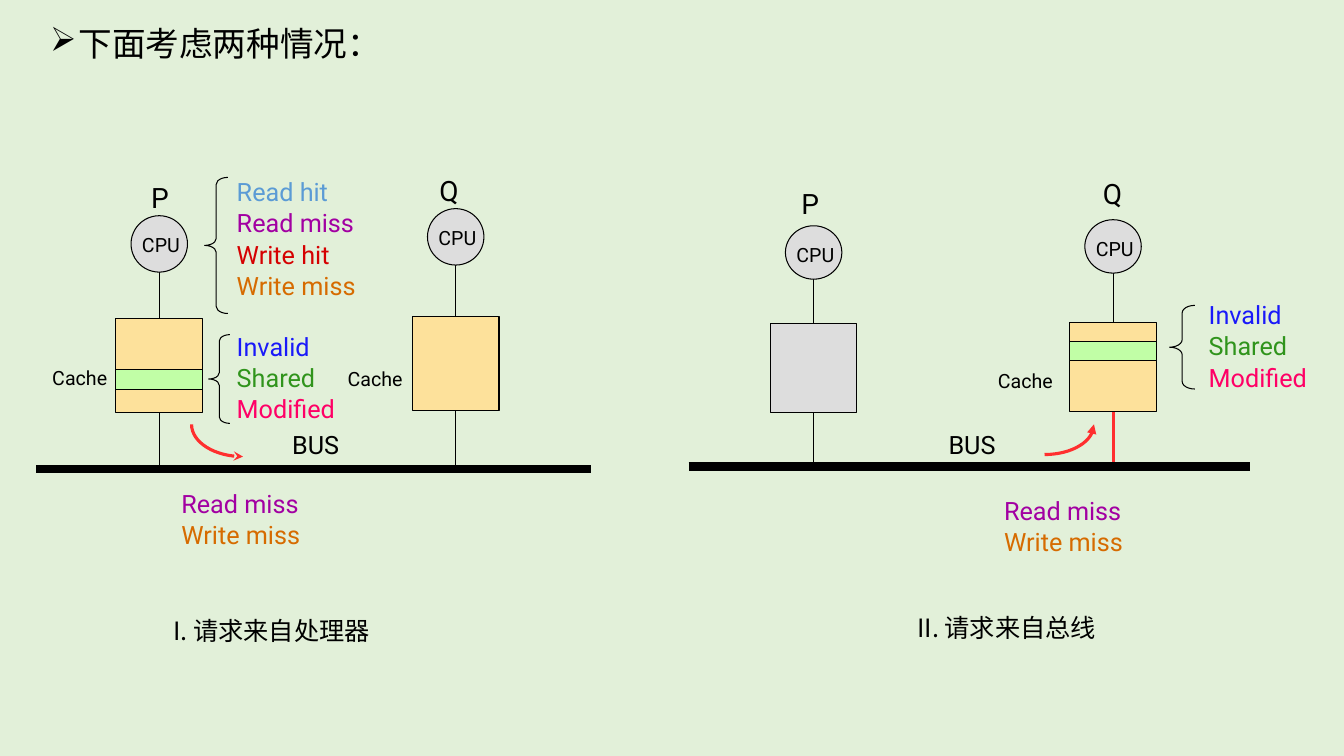
import pptx
import pptx.util
import pptx.dml.color
import pptx.enum.shapes
import pptx.oxml
from dataclasses import dataclass
from pptx.util import Inches


@dataclass(frozen=True)
class Theme:
    background: str = "E2F0D9"
    black: str = "000000"
    grey: str = "DDDDDD"
    cache: str = "FDE19B"
    block: str = "C1FEA6"
    red: str = "FF2F2F"
    read_hit: str = "5B9BD5"
    read_miss: str = "A200A2"
    write_hit: str = "D50101"
    write_miss: str = "D66B00"
    invalid: str = "1919F9"
    shared: str = "30941C"
    modified: str = "FF0066"
    latin: str = "Roboto"
    chinese: str = "Noto Sans CJK SC"
    title: int = 24
    letter: int = 20
    body: int = 18
    small: int = 14
    thin: float = 0.75
    arrow: float = 2.25
    bus: int = 6


theme = Theme()
color = pptx.dml.color.RGBColor.from_string
shape_type = pptx.enum.shapes.MSO_SHAPE
namespace = 'xmlns:a="http://schemas.openxmlformats.org/drawingml/2006/main"'

presentation = pptx.Presentation()
presentation.slide_width, presentation.slide_height = Inches(13.33), Inches(7.5)
slide = presentation.slides.add_slide(presentation.slide_layouts[6])
slide.background.fill.solid()
slide.background.fill.fore_color.rgb = color(theme.background)


def add_text(left, top, width, height, lines, size, font=theme.latin):
    """Add a text box with one paragraph for each (text, colour) pair."""
    box = slide.shapes.add_textbox(Inches(left), Inches(top), Inches(width), Inches(height))
    box.text_frame.word_wrap = True
    for index, (text, text_color) in enumerate(lines):
        paragraph = box.text_frame.paragraphs[0] if index == 0 else box.text_frame.add_paragraph()
        if len(lines) > 1:
            paragraph.line_spacing = 0.6
            paragraph.space_before = pptx.util.Pt(9.25 if index else 0)
        run = paragraph.add_run()
        run.text = text
        run.font.size = pptx.util.Pt(size)
        run.font.name = font
        run.font.color.rgb = color(text_color)
        if font == theme.chinese:
            run.font._element.append(pptx.oxml.parse_xml(f'<a:ea {namespace} typeface="{font}"/>'))
    return box


def add_shape(kind, left, top, width, height, fill=None):
    """Add a thinly outlined preset shape."""
    shape = slide.shapes.add_shape(kind, Inches(left), Inches(top), Inches(width), Inches(height))
    shape.shadow.inherit = False
    if fill:
        shape.fill.solid()
        shape.fill.fore_color.rgb = color(fill)
    else:
        shape.fill.background()
    shape.line.color.rgb = color(theme.black)
    shape.line.width = pptx.util.Pt(theme.thin)
    return shape


# Title
title = add_text(0.4, 0.18, 4, 0.5, [("下面考虑两种情况：", theme.black)], theme.title, theme.chinese)
properties = title.text_frame.paragraphs[0]._p.get_or_add_pPr()
properties.set("marL", str(Inches(0.28)))
properties.set("indent", str(-Inches(0.28)))
properties.append(pptx.oxml.parse_xml(f'<a:buChar {namespace} char="➢"/>'))

# Processors: letter, letter left and top, centre, circle top and height,
# cache top and height, cache fill, bus height
processors = [
    ("P", 1.4, 1.74, 1.58, 2.14, 0.56, 3.16, 0.93, theme.cache, 4.65),
    ("Q", 4.26, 1.67, 4.52, 2.07, 0.56, 3.14, 0.93, theme.cache, 4.65),
    ("P", 7.85, 1.8, 8.07, 2.24, 0.53, 3.21, 0.88, theme.grey, 4.63),
    ("Q", 10.84, 1.7, 11.04, 2.18, 0.53, 3.2, 0.88, theme.cache, 4.63),
]

# Lines: wires to the caches and the bus, then the two buses
lines = []
for _, _, _, center, cpu_top, cpu_height, cache_top, cache_height, _, bus_top in processors:
    requested = center == 11.04
    lines.append((center, cpu_top + cpu_height, center, cache_top, theme.black, theme.thin))
    lines.append((center, cache_top + cache_height, center, bus_top,
                  theme.red if requested else theme.black,
                  theme.arrow if requested else theme.thin))
lines.append((0.36, 4.65, 5.86, 4.65, theme.black, theme.bus))
lines.append((6.83, 4.63, 12.4, 4.63, theme.black, theme.bus))
for x1, y1, x2, y2, line_color, width in lines:
    connector = slide.shapes.add_connector(
        pptx.enum.shapes.MSO_CONNECTOR.STRAIGHT, Inches(x1), Inches(y1), Inches(x2), Inches(y2))
    connector.line.color.rgb = color(line_color)
    connector.line.width = pptx.util.Pt(width)
    connector._element.spPr.append(pptx.oxml.parse_xml(f"<a:effectLst {namespace}/>"))

# CPU circles, caches and letters
for (letter, letter_left, letter_top, center, cpu_top, cpu_height,
     cache_top, cache_height, cache_fill, _) in processors:
    add_shape(shape_type.OVAL, center - 0.28, cpu_top, 0.56, cpu_height, theme.grey)
    add_shape(shape_type.RECTANGLE, center - 0.43, cache_top, 0.86, cache_height, cache_fill)
    add_text(center - 0.27, cpu_top + 0.12, 0.62, 0.34, [("CPU", theme.black)], theme.small)
    add_text(letter_left, letter_top, 0.5, 0.4, [(letter, theme.black)], theme.letter)

# Cache blocks
for left, top in [(1.15, 3.67), (10.61, 3.39)]:
    add_shape(shape_type.RECTANGLE, left, top, 0.86, 0.19, theme.block)

# Cache and bus labels
for left, top, label, size in [
    (0.42, 3.58, "Cache", theme.small), (3.35, 3.59, "Cache", theme.small),
    (9.8, 3.61, "Cache", theme.small),
    (2.8, 4.21, "BUS", theme.body), (9.31, 4.21, "BUS", theme.body),
]:
    add_text(left, top, 0.9, 0.4, [(label, theme.black)], size)

# Lists of requests and block states
misses = [("Read miss", theme.read_miss), ("Write miss", theme.write_miss)]
requests = [("Read hit", theme.read_hit), misses[0], ("Write hit", theme.write_hit), misses[1]]
states = [("Invalid", theme.invalid), ("Shared", theme.shared), ("Modified", theme.modified)]
for left, top, entries in [
    (2.25, 1.81, requests), (2.25, 3.34, states), (11.89, 3.03, states),
    (1.7, 4.9, misses), (9.86, 4.97, misses),
]:
    add_text(left, top, 1.44, 0.1 + 0.3 * len(entries), entries, theme.body)

# Braces
for left, top, width, height in [
    (2.03, 1.76, 0.23, 1.35), (2.07, 3.32, 0.21, 0.88), (11.6, 3.03, 0.25, 0.83),
]:
    brace = add_shape(shape_type.LEFT_BRACE, left, top, width, height)
    brace.adjustments[0] = 0.3
    brace.adjustments[1] = 0.5

# Curved arrows, traced along cubic curves
steps = 16
for head, controls in [
    ("stealth", [(1.9, 4.21), (1.9, 4.39), (2.13, 4.53), (2.41, 4.53)]),
    ("triangle", [(10.36, 4.51), (10.63, 4.51), (10.85, 4.38), (10.85, 4.21)]),
]:
    points = []
    for step in range(steps + 1):
        t = step / steps
        weights = [(1 - t) ** 3, 3 * t * (1 - t) ** 2, 3 * t ** 2 * (1 - t), t ** 3]
        points.append(tuple(
            Inches(sum(weight * control[axis] for weight, control in zip(weights, controls)))
            for axis in (0, 1)))
    builder = slide.shapes.build_freeform(*points[0])
    builder.add_line_segments(points[1:], close=False)
    curve = builder.convert_to_shape()
    curve.shadow.inherit = False
    curve.fill.background()
    curve.line.color.rgb = color(theme.red)
    curve.line.width = pptx.util.Pt(theme.arrow)
    curve.line._get_or_add_ln().append(
        pptx.oxml.parse_xml(f'<a:tailEnd {namespace} type="{head}"/>'))

# Captions
for left, top, caption in [(1.62, 6.06, "I. 请求来自处理器"), (9, 6.03, "II. 请求来自总线")]:
    add_text(left, top, 2.5, 0.4, [(caption, theme.black)], theme.body, theme.chinese)

presentation.save("out.pptx")
